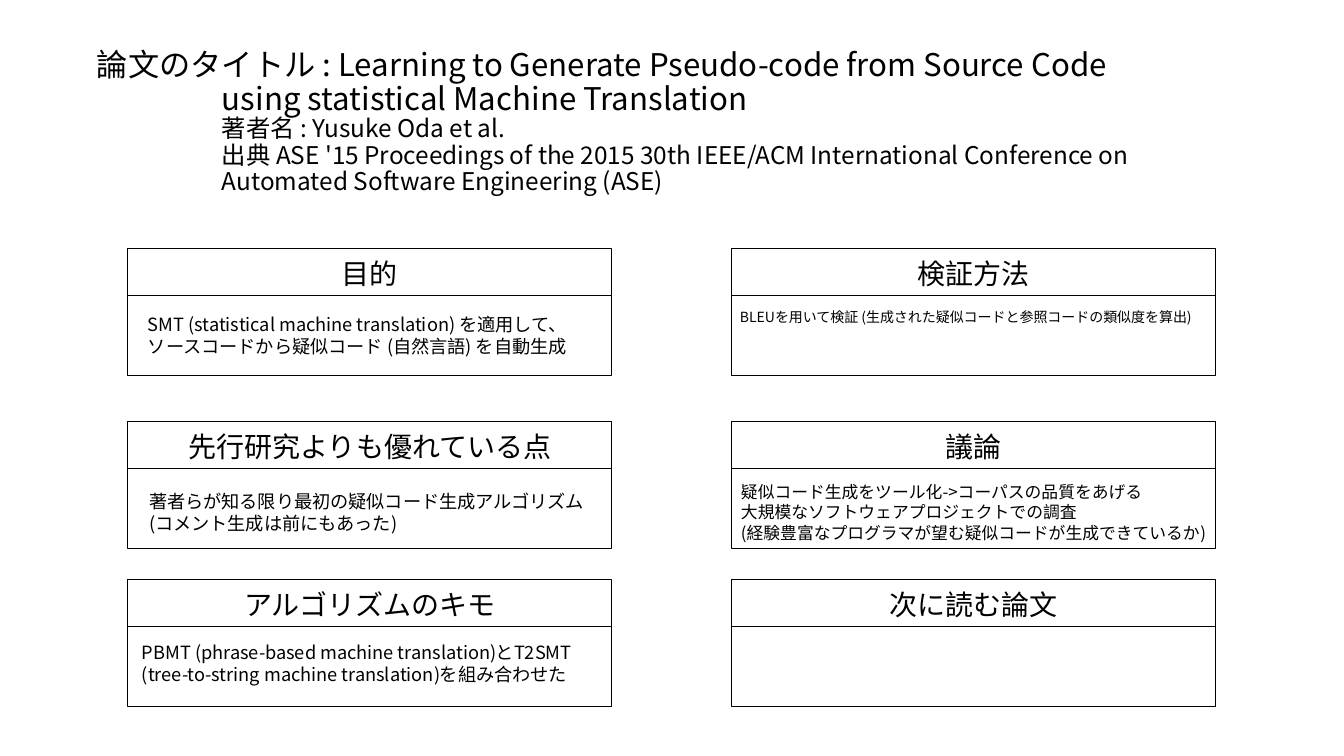
from dataclasses import dataclass

from pptx import Presentation
from pptx import util as u
from pptx.dml.color import RGBColor
from pptx.enum import shapes, text
from pptx.oxml import ns

SCALE = 914400 / 100.8


@dataclass(frozen=True)
class Theme:
    """Colours, font and type sizes of the slide."""
    ink: RGBColor = RGBColor(0, 0, 0)
    font: str = "Noto Sans CJK JP"
    title: float = 22.3
    source: float = 17.4
    heading: float = 20
    body: float = 13
    discussion: float = 12
    method: float = 10


theme = Theme()


def px(*lengths):
    """Turn pixels into a list of EMU lengths."""
    return [u.Emu(round(length * SCALE)) for length in lengths]


def write(frame, lines, sizes, align=text.PP_ALIGN.LEFT,
          anchor=text.MSO_ANCHOR.TOP, spacing=1.0, indents=()):
    """Fill a text frame, one paragraph a line, with sizes and indents by line."""
    frame.word_wrap = True
    frame.auto_size = text.MSO_AUTO_SIZE.NONE
    frame.vertical_anchor = anchor
    (frame.margin_left, frame.margin_right,
     frame.margin_top, frame.margin_bottom) = px(5, 5, 5, 5)
    for index, line in enumerate(lines):
        paragraph = frame.paragraphs[0] if index == 0 else frame.add_paragraph()
        paragraph.alignment = align
        paragraph.line_spacing = spacing
        paragraph.space_before = u.Pt(0)
        if index < len(indents):
            properties = paragraph._p.get_or_add_pPr()
            properties.set("marL", str(px(indents[index])[0]))
            properties.set("indent", "0")
        run = paragraph.add_run()
        run.text = line
        run.font.size = u.Pt(sizes[index])
        run.font.name = theme.font
        run.font.color.rgb = theme.ink
        east_asian = run._r.rPr.makeelement(ns.qn("a:ea"), {"typeface": theme.font})
        run.font._element.find(ns.qn("a:latin")).addnext(east_asian)


deck = Presentation()
deck.slide_width, deck.slide_height = px(1344, 756)
slide = deck.slides.add_slide(deck.slide_layouts[5])

title = slide.shapes.title
title.left, title.top, title.width, title.height = px(92, 29, 1159, 187)
write(
    title.text_frame,
    ["論文のタイトル : Learning to Generate Pseudo-code from Source Code",
     "using statistical Machine Translation",
     "著者名 : Yusuke Oda et al.",
     "出典 ASE '15 Proceedings of the 2015 30th IEEE/ACM International "
     "Conference on Automated Software Engineering (ASE)"],
    [theme.title] * 2 + [theme.source] * 2,
    anchor=text.MSO_ANCHOR.MIDDLE, spacing=0.9, indents=(0, 125),
)

PANEL_WIDTH, HEADING_HEIGHT, BODY_HEIGHT = 484, 47, 80
COLUMNS = (128, 732)
ROWS = (249, 422, 580)

# column, row, heading, body lines, body size, body left, top and width
panels = [
    (0, 0, "目的",
     ["SMT (statistical machine translation) を適用して、",
      "ソースコードから疑似コード (自然言語) を自動生成"],
     theme.body, (143, 308, 470)),
    (1, 0, "検証方法",
     ["BLEUを用いて検証 (生成された疑似コードと参照コードの類似度を算出)"],
     theme.method, (735, 304, 470)),
    (0, 1, "先行研究よりも優れている点",
     ["著者らが知る限り最初の疑似コード生成アルゴリズム",
      "(コメント生成は前にもあった)"],
     theme.body, (144, 485, 470)),
    (1, 1, "議論",
     ["疑似コード生成をツール化->コーパスの品質をあげる",
      "大規模なソフトウェアプロジェクトでの調査",
      "(経験豊富なプログラマが望む疑似コードが生成できているか)"],
     theme.discussion, (736, 477, 490)),
    (0, 2, "アルゴリズムのキモ",
     ["PBMT (phrase-based machine translation)とT2SMT",
      "(tree-to-string machine translation)を組み合わせた"],
     theme.body, (137, 636, 470)),
    (1, 2, "次に読む論文", [], theme.body, None),
]

for column, row, heading, lines, size, place in panels:
    left, top = COLUMNS[column], ROWS[row]
    for offset, height, label in ((0, HEADING_HEIGHT, heading),
                                  (HEADING_HEIGHT, BODY_HEIGHT, None)):
        frame_box = slide.shapes.add_shape(
            shapes.MSO_SHAPE.RECTANGLE,
            *px(left, top + offset, PANEL_WIDTH, height))
        frame_box.shadow.inherit = False
        frame_box.fill.background()
        frame_box.line.color.rgb = theme.ink
        frame_box.line.width = u.Pt(0.75)
        if label:
            write(frame_box.text_frame, [label], [theme.heading],
                  align=text.PP_ALIGN.CENTER,
                  anchor=text.MSO_ANCHOR.BOTTOM, spacing=0.9)
    if lines:
        body_left, body_top, body_width = place
        body = slide.shapes.add_textbox(
            *px(body_left, body_top, body_width, 10 + 22 * len(lines)))
        write(body.text_frame, lines, [size] * len(lines))

deck.save("out.pptx")
